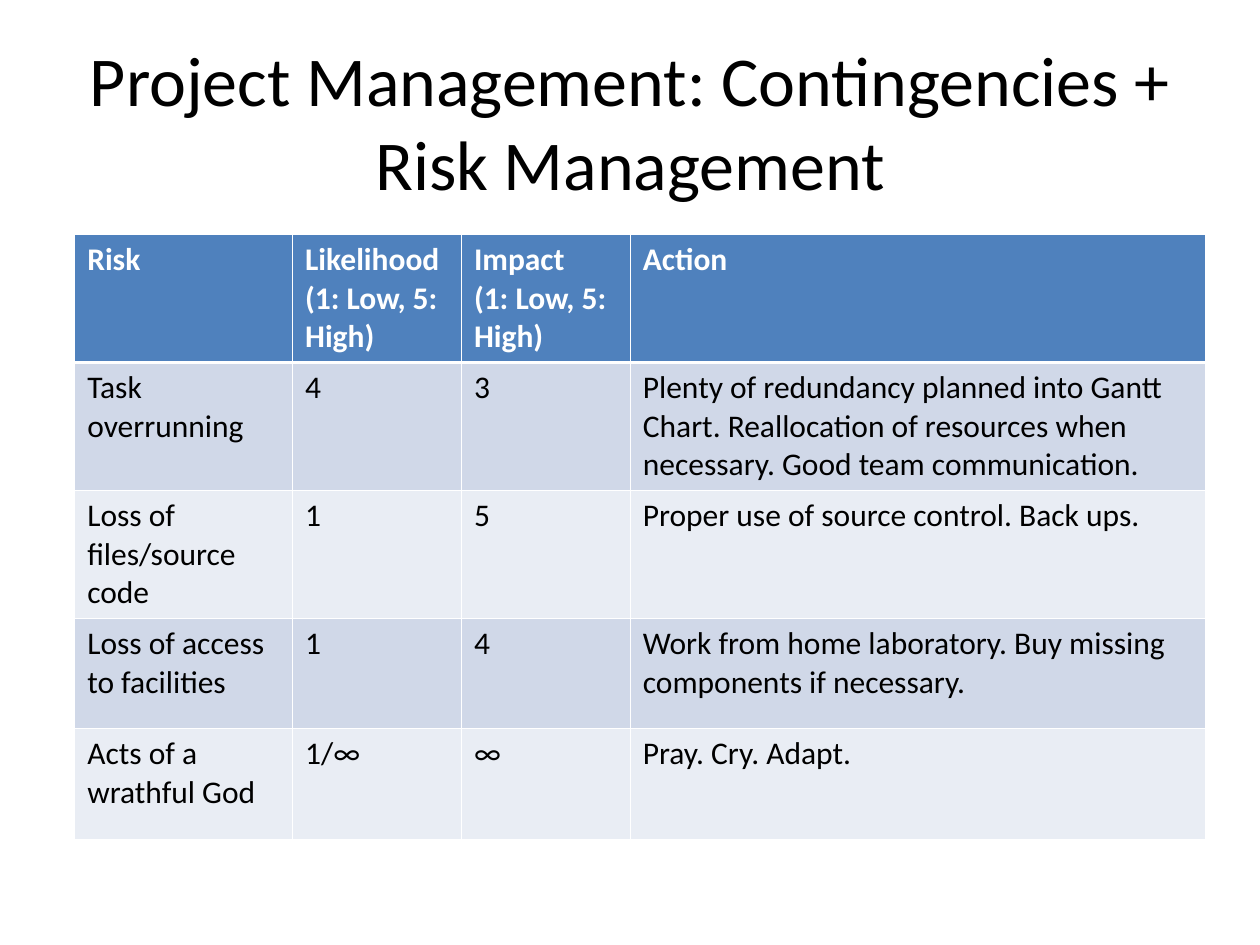
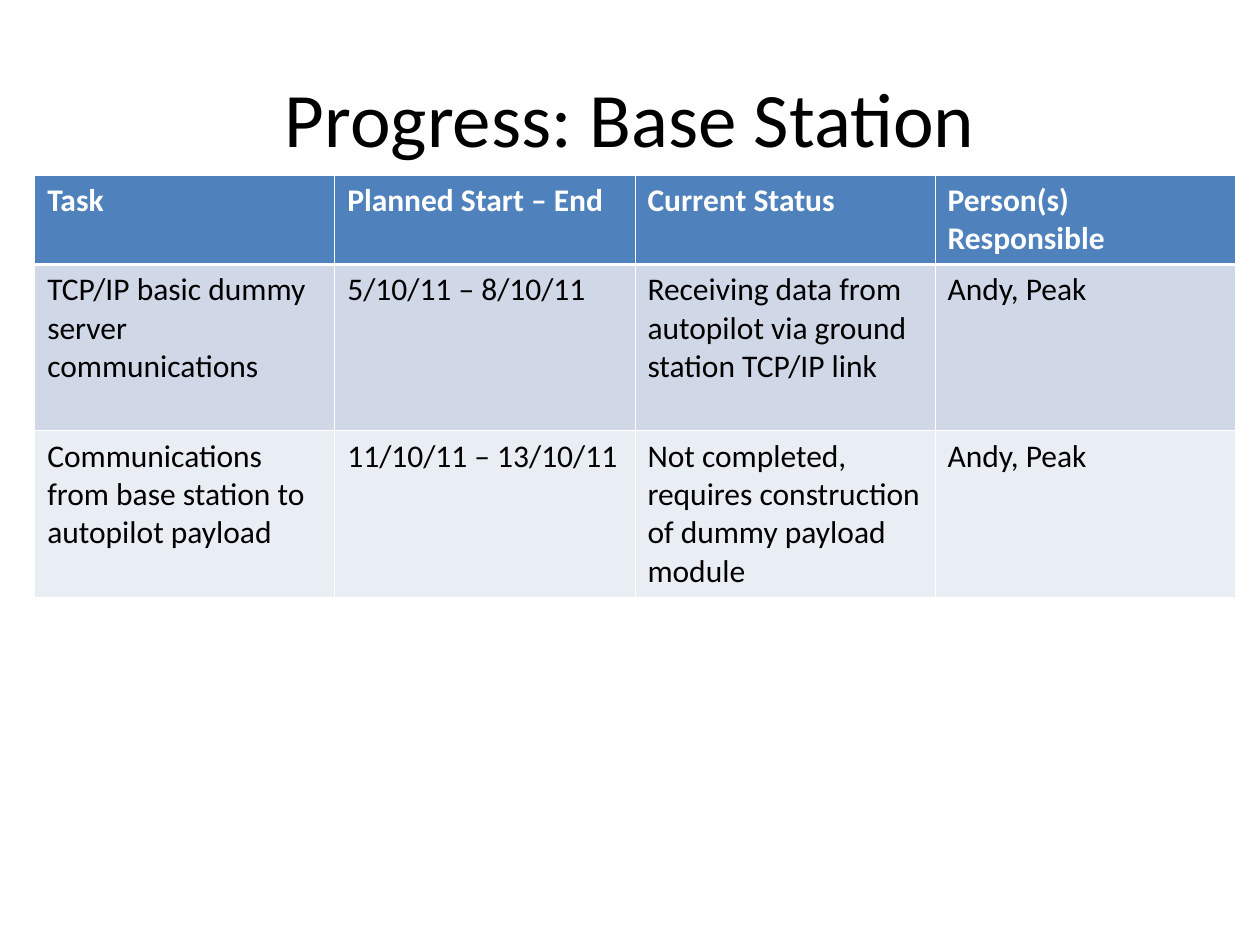
"""Build the risk management and base station progress slides."""
from lxml.etree import SubElement
from pptx import Presentation
from pptx.dml.color import RGBColor as Color
from pptx.enum.text import MSO_ANCHOR as Anchor, MSO_AUTO_SIZE as AutoSize, PP_ALIGN as Align
from pptx.oxml.ns import qn
from pptx.util import Pt

SLIDES = [
    {
        "title": "Project Management: Contingencies + Risk Management",
        "title_size": 40,
        "title_height": 95,
        "table_corner": (42.7, 134),
        "columns": [124.5, 96.5, 96.5, 328.5],
        "heights": [73, 73, 73, 63, 63],
        "rows": [
            ("Risk", "Likelihood\n(1: Low, 5: High)", "Impact\n(1: Low, 5: High)", "Action"),
            ("Task overrunning", "4", "3",
             "Plenty of redundancy planned into Gantt Chart. Reallocation of "
             "resources when necessary. Good team communication."),
            ("Loss of files/source code", "1", "5", "Proper use of source control. Back ups."),
            ("Loss of access to facilities", "1", "4",
             "Work from home laboratory. Buy missing components if necessary."),
            ("Acts of a wrathful God", "1/∞", "∞", "Pray. Cry. Adapt."),
        ],
    },
    {
        "title": "Progress: Base Station",
        "title_size": 44,
        "title_height": 90,
        "table_corner": (19.8, 100),
        "columns": [171.5] * 4,
        "heights": [51, 95, 95],
        "rows": [
            ("Task", "Planned Start – End", "Current Status", "Person(s) Responsible"),
            ("TCP/IP basic dummy server communications", "5/10/11 – 8/10/11",
             "Receiving data from autopilot via ground station TCP/IP link", "Andy, Peak"),
            ("Communications from base station to autopilot payload", "11/10/11 – 13/10/11",
             "Not completed, requires construction of dummy payload module", "Andy, Peak"),
        ],
    },
]

COLORS = {"header": "4F81BD", "odd": "D0D8E8", "even": "E9EDF4",
          "light": "FFFFFF", "dark": "000000"}
FONT = "Calibri"
THIN, THICK = 0.45, 1.47


def write(frame, text, size=18, color="dark", bold=False, align=Align.LEFT):
    frame.text = text
    for para in frame.paragraphs:
        para.alignment = align
        for span in para.runs:
            span.font.name, span.font.size, span.font.bold = FONT, Pt(size), bold
            span.font.color.rgb = Color.from_string(COLORS[color])


def add_borders(cell, row):
    properties = cell._tc.get_or_add_tcPr()
    widths = {"L": THIN, "R": THIN,
              "T": THICK if row == 1 else THIN,
              "B": THICK if row == 0 else THIN}
    for side, width in widths.items():
        line = SubElement(properties, qn(f"a:ln{side}"), w=str(Pt(width)))
        fill = SubElement(line, qn("a:solidFill"))
        SubElement(fill, qn("a:srgbClr"), val=COLORS["light"])


def add_title(page, content):
    title = page.shapes.title
    title.left, title.top = Pt(36), Pt(21.6)
    title.width, title.height = Pt(648), Pt(content["title_height"])
    frame = title.text_frame
    frame.word_wrap = True
    frame.auto_size = AutoSize.NONE
    frame.vertical_anchor = Anchor.MIDDLE
    write(frame, content["title"], size=content["title_size"], align=Align.CENTER)


def add_grid(page, content):
    rows, columns, heights = content["rows"], content["columns"], content["heights"]
    left, top = content["table_corner"]
    table = page.shapes.add_table(len(rows), len(columns), Pt(left), Pt(top),
                                  Pt(sum(columns)), Pt(sum(heights))).table
    for column, width in zip(table.columns, columns):
        column.width = Pt(width)
    for row, height in zip(table.rows, heights):
        row.height = Pt(height)
    for r, texts in enumerate(rows):
        header = r == 0
        band = "header" if header else ("even", "odd")[r % 2]
        for c, text in enumerate(texts):
            cell = table.cell(r, c)
            add_borders(cell, r)
            cell.fill.solid()
            cell.fill.fore_color.rgb = Color.from_string(COLORS[band])
            write(cell.text_frame, text, color="light" if header else "dark", bold=header)


def main():
    deck = Presentation()
    deck.slide_width, deck.slide_height = Pt(720), Pt(540)
    for content in SLIDES:
        page = deck.slides.add_slide(deck.slide_layouts.get_by_name("Title Only"))
        add_title(page, content)
        add_grid(page, content)
    deck.save("out.pptx")


if __name__ == "__main__":
    main()
